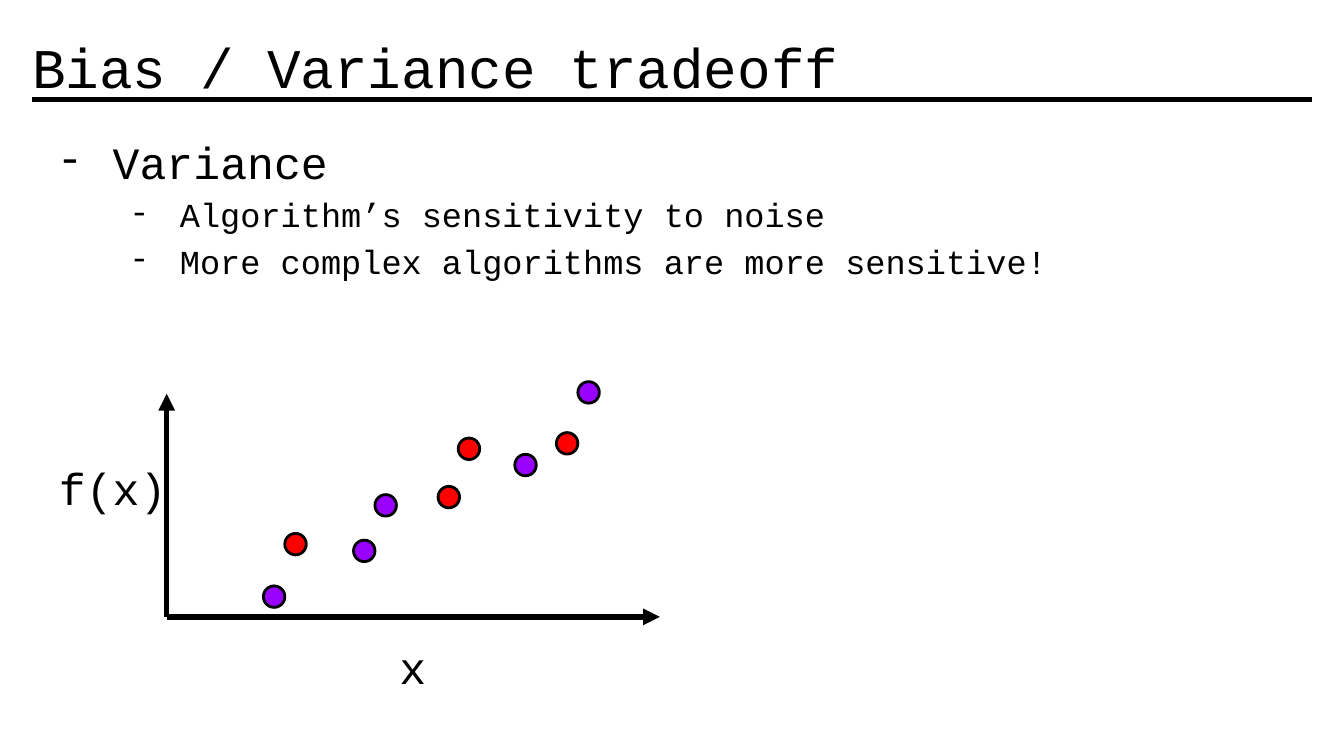
from dataclasses import dataclass

from lxml import etree
from pptx import Presentation
from pptx import util as u
from pptx.dml import color
from pptx.enum import shapes, text
from pptx.oxml import ns

BLACK = color.RGBColor(0x00, 0x00, 0x00)
WHITE = color.RGBColor(0xFF, 0xFF, 0xFF)
PURPLE = color.RGBColor(0x99, 0x00, 0xFF)
RED = color.RGBColor(0xFF, 0x00, 0x00)
FONT = "Courier New"
DOT_SIZE = 11.5
ORIGIN = (89.3, 330.5)


@dataclass(frozen=True)
class Label:
    wording: str
    left: float
    top: float
    width: float
    height: float
    size: float
    anchor: text.MSO_ANCHOR = text.MSO_ANCHOR.TOP
    align: text.PP_ALIGN = text.PP_ALIGN.LEFT


@dataclass(frozen=True)
class Bullet:
    wording: str
    level: int
    size: float
    margin: float
    hanging: float


@dataclass(frozen=True)
class Dot:
    left: float
    top: float
    fill: color.RGBColor


@dataclass(frozen=True)
class Line:
    start: tuple[float, float]
    end: tuple[float, float]
    width: float
    arrow: bool = False


LABELS = [
    Label("Bias / Variance tradeoff", 10.1, 15.1, 699.8, 45.4, 30, text.MSO_ANCHOR.BOTTOM),
    Label("f(x)", 24.5, 239.8, 116.6, 41, 24),
    Label("x", 135.4, 335.5, 171.4, 41, 24, align=text.PP_ALIGN.CENTER),
]
BULLETS = [
    Bullet("Variance", 0, 24, 36, 30),
    Bullet("Algorithm’s sensitivity to noise", 1, 18, 72, 27),
    Bullet("More complex algorithms are more sensitive!", 1, 18, 72, 27),
]
DOTS = [
    Dot(141.1, 313.9, PURPLE),
    Dot(152.6, 285.8, RED),
    Dot(189.4, 289.4, PURPLE),
    Dot(200.9, 265, PURPLE),
    Dot(234.7, 260.6, RED),
    Dot(245.5, 234.7, RED),
    Dot(275.8, 243.4, PURPLE),
    Dot(298.1, 231.8, RED),
    Dot(309.6, 204.5, PURPLE),
]
TITLE_RULE = Line((17.3, 53.3), (702.7, 53.3), 2.25)
AXES = [
    Line(ORIGIN, (ORIGIN[0], 211), 3, arrow=True),
    Line(ORIGIN, (353.5, ORIGIN[1]), 3, arrow=True),
]


def apply_format(target, values: dict) -> None:
    for name, value in values.items():
        setattr(target, name, value)


def style_font(font, size: float) -> None:
    apply_format(font, {"name": FONT, "size": u.Pt(size)})
    font.color.rgb = BLACK


def add_frame(slide, left: float, top: float, width: float, height: float, anchor):
    box = slide.shapes.add_textbox(u.Pt(left), u.Pt(top), u.Pt(width), u.Pt(height))
    inset = u.Pt(7.2)
    apply_format(box.text_frame, {
        "word_wrap": True,
        "vertical_anchor": anchor,
        "margin_left": inset,
        "margin_top": inset,
        "margin_right": inset,
        "margin_bottom": inset,
    })
    return box


def draw_label(slide, label: Label) -> None:
    box = add_frame(slide, label.left, label.top, label.width, label.height, label.anchor)
    paragraph = box.text_frame.paragraphs[0]
    apply_format(paragraph, {"text": label.wording, "alignment": label.align})
    style_font(paragraph.font, label.size)


def write_bullet(paragraph, bullet: Bullet) -> None:
    apply_format(paragraph, {"text": bullet.wording, "level": bullet.level, "line_spacing": 1.15})
    properties = paragraph._p.get_or_add_pPr()
    properties.set("marL", str(u.Pt(bullet.margin)))
    properties.set("indent", str(-u.Pt(bullet.hanging)))
    bullet_color = etree.SubElement(properties, ns.qn("a:buClr"))
    etree.SubElement(bullet_color, ns.qn("a:srgbClr"), val=str(BLACK))
    etree.SubElement(properties, ns.qn("a:buFont"), typeface=FONT)
    etree.SubElement(properties, ns.qn("a:buChar"), char="-")
    style_font(paragraph.font, bullet.size)


def draw_bullets(slide, bullets: list[Bullet]) -> None:
    body = add_frame(slide, 17.3, 60.5, 684.7, 334.8, text.MSO_ANCHOR.TOP)
    body.fill.solid()
    body.fill.fore_color.rgb = WHITE
    fill_color = body._element.spPr.find(".//" + ns.qn("a:srgbClr"))
    etree.SubElement(fill_color, ns.qn("a:alpha"), val="60000")
    frame = body.text_frame
    for index, bullet in enumerate(bullets):
        write_bullet(frame.add_paragraph() if index else frame.paragraphs[0], bullet)


def draw_dot(slide, dot: Dot) -> None:
    size = u.Pt(DOT_SIZE)
    circle = slide.shapes.add_shape(
        shapes.MSO_SHAPE.OVAL, u.Pt(dot.left), u.Pt(dot.top), size, size)
    circle.shadow.inherit = False
    circle.fill.solid()
    circle.fill.fore_color.rgb = dot.fill
    circle.line.color.rgb = BLACK
    circle.line.width = u.Pt(1.5)


def draw_line(slide, line: Line) -> None:
    ends = [u.Pt(value) for value in (*line.start, *line.end)]
    connector = slide.shapes.add_connector(shapes.MSO_CONNECTOR.STRAIGHT, *ends)
    connector.line.color.rgb = BLACK
    connector.line.width = u.Pt(line.width)
    if line.arrow:
        etree.SubElement(connector.line._get_or_add_ln(), ns.qn("a:tailEnd"), type="triangle")
    etree.SubElement(connector._element.spPr, ns.qn("a:effectLst"))


def main() -> None:
    deck = Presentation()
    apply_format(deck, {"slide_width": u.Pt(720), "slide_height": u.Pt(405)})
    slide = deck.slides.add_slide(deck.slide_layouts[6])
    title, *axis_names = LABELS
    draw_line(slide, TITLE_RULE)
    draw_label(slide, title)
    draw_bullets(slide, BULLETS)
    for dot in DOTS:
        draw_dot(slide, dot)
    for axis in AXES:
        draw_line(slide, axis)
    for axis_name in axis_names:
        draw_label(slide, axis_name)
    deck.save("out.pptx")


if __name__ == "__main__":
    main()
